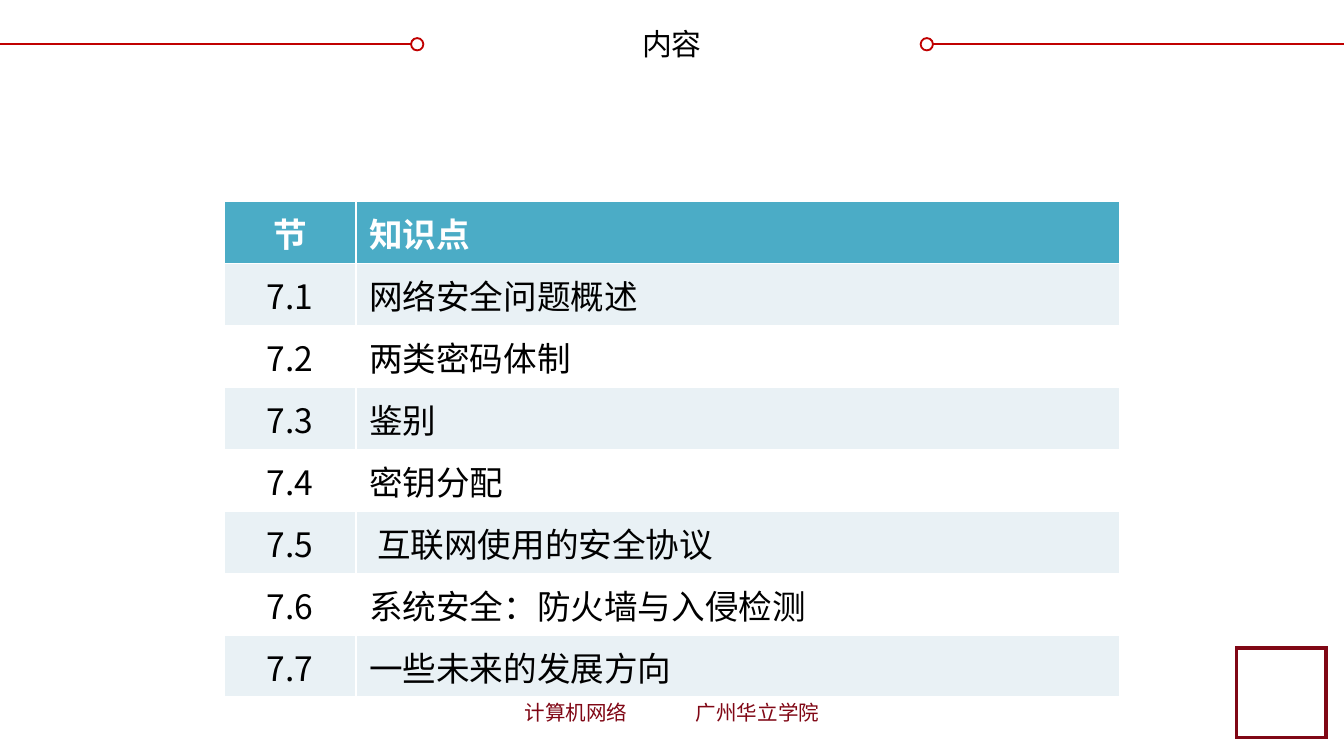
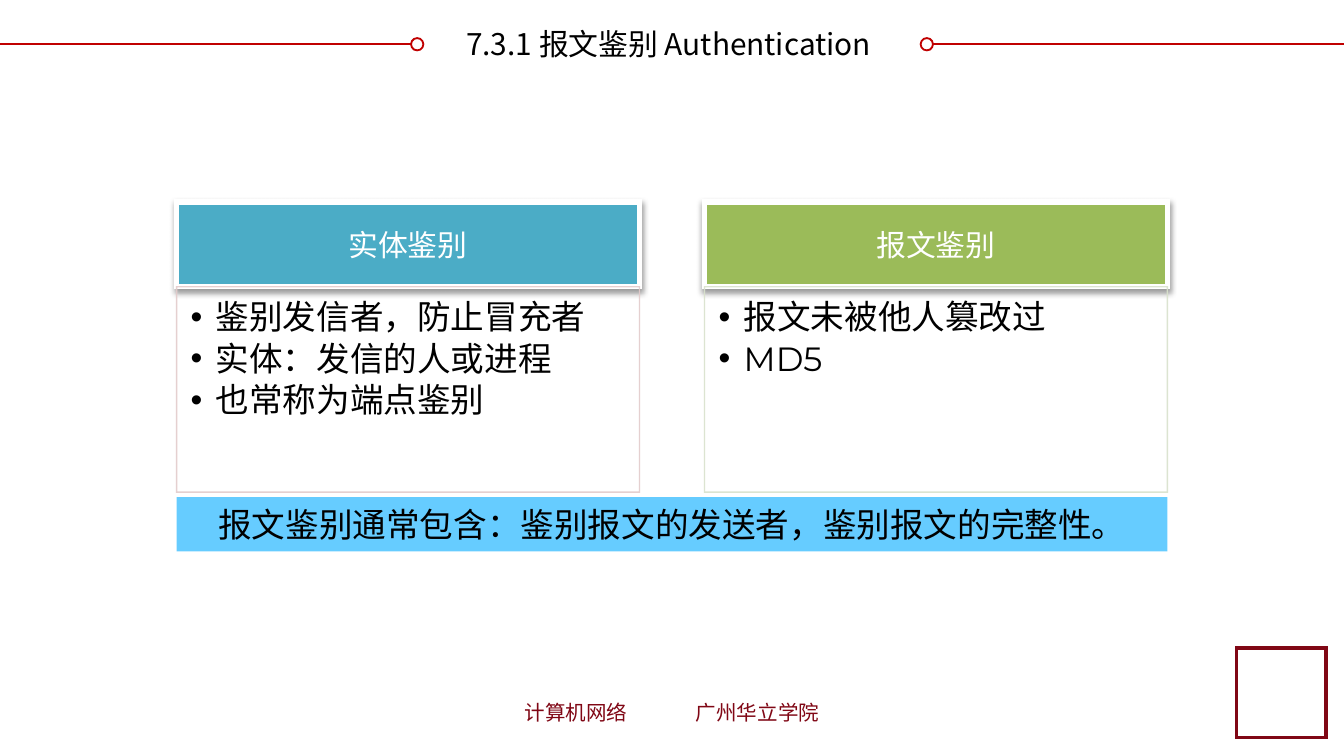
"""Build two network-security slides: a contents table and message authentication."""
from lxml import etree
from pptx import Presentation
from pptx.dml.color import RGBColor
from pptx.enum.shapes import MSO_CONNECTOR, MSO_SHAPE
from pptx.enum.text import MSO_ANCHOR, PP_ALIGN
from pptx.oxml.ns import qn
from pptx.util import Pt

LEFT, CENTER, JUSTIFY = PP_ALIGN.LEFT, PP_ALIGN.CENTER, PP_ALIGN.JUSTIFY
TOP, MIDDLE = MSO_ANCHOR.TOP, MSO_ANCHOR.MIDDLE
RECTANGLE, OVAL, STRAIGHT = MSO_SHAPE.RECTANGLE, MSO_SHAPE.OVAL, MSO_CONNECTOR.STRAIGHT

RED, MAROON, TEAL, GREEN = "C00000", "800715", "4BACC6", "9BBB59"
SKY, PALE, WHITE, BLACK = "66CCFF", "E9F1F5", "FFFFFF", "000000"
SANS, DISPLAY, BULLET_FONT = "Noto Sans CJK SC", "Montserrat", "Arial"

SLIDE_WIDTH, SLIDE_HEIGHT = 720, 405
TITLE_BOX = (226.8, 10, 266.4, 26.8)
RULE_Y, DOT = 23.7, 6.6
BADGE_BOX = (662.4, 347, 48.2, 48.2)
FOOTER_BOX = (267.8, 371.2, 185, 21)
FOOTER_INDENT, FOOTER_TAB = 6.2, 91.7
FOOTER = ("计算机网络", "广州华立学院")

TITLE_STYLE = {"size": Pt(16), "name": SANS}
FOOTER_STYLE = {"size": Pt(11), "name": SANS}
HEAD_STYLE = {"size": Pt(16), "name": DISPLAY}
BODY_STYLE = {"size": Pt(18), "name": DISPLAY}
CELL_STYLE = {"size": Pt(18), "name": SANS}

CONTENTS_TITLE = "内容"
CONTENTS = [
    ("节", "知识点"),
    ("7.1", "网络安全问题概述"),
    ("7.2", "两类密码体制"),
    ("7.3", "鉴别"),
    ("7.4", "密钥分配"),
    ("7.5", "互联网使用的安全协议"),
    ("7.6", "系统安全：防火墙与入侵检测"),
    ("7.7", "一些未来的发展方向"),
]
INDENTED_SECTION, SECTION_INDENT = "7.5", 4.3
TABLE_LEFT, TABLE_TOP, ROW_HEIGHT = 120, 108, 33.2
COLUMN_WIDTHS = (70.6, 409.4)

AUTH_TITLE = "7.3.1 报文鉴别 Authentication "
AUTH_PANELS = [
    ("实体鉴别", TEAL, "E3CBCB",
     ["鉴别发信者，防止冒充者", "实体：发信的人或进程", "也常称为端点鉴别"]),
    ("报文鉴别", GREEN, "D9E2CC", ["报文未被他人篡改过", "MD5"]),
]
AUTH_SUMMARY = "报文鉴别通常包含：鉴别报文的发送者，鉴别报文的完整性。"
PANEL_LEFT, PANEL_TOP, PANEL_WIDTH, PANEL_STEP = 94.6, 108.2, 248, 282.8
HEAD_HEIGHT, BODY_HEIGHT, BULLET_INDENT = 45.4, 110, 13.5
SUMMARY_TOP, SUMMARY_HEIGHT = 266.3, 29.1


def points(values):
    """Turn numbers into point lengths."""
    return [Pt(value) for value in values]


def color(hex_value):
    """Turn a hex string into a colour."""
    return RGBColor.from_string(hex_value)


def add_element(parent, tag, **attributes):
    """Append a drawing element to its parent."""
    values = {name: str(value) for name, value in attributes.items()}
    return etree.SubElement(parent, qn(tag), values)


def paint(shape, fill=None, line=None, weight=1):
    """Set the fill and line of a shape and drop its theme shadow."""
    shape.shadow.inherit = False
    if fill:
        shape.fill.solid()
        shape.fill.fore_color.rgb = color(fill)
    else:
        shape.fill.background()
    if line:
        shape.line.color.rgb = color(line)
        shape.line.width = Pt(weight)
        add_element(shape.line._ln, "a:miter", lim=800000)
    else:
        shape.line.fill.background()
    return shape


def set_frame(frame, anchor, margins=(7.2, 3.6, 7.2, 3.6)):
    """Set wrapping, anchor and margins of a text frame."""
    sides = ("margin_left", "margin_top", "margin_right", "margin_bottom")
    layout = {"word_wrap": True, "vertical_anchor": anchor, **dict(zip(sides, points(margins)))}
    for name, value in layout.items():
        setattr(frame, name, value)


def write(para, text, style, ink=BLACK, align=CENTER):
    """Write one formatted run into a paragraph."""
    para.alignment = align
    span = para.add_run()
    span.text = text
    for name, value in style.items():
        setattr(span.font, name, value)
    span.font.color.rgb = color(ink)
    add_element(span.font._element, "a:ea", typeface=style["name"])


def add_rule(slide, start, end):
    """Draw one horizontal title rule."""
    rule = slide.shapes.add_connector(STRAIGHT, *points((start, RULE_Y, end, RULE_Y)))
    rule.line.color.rgb = color(RED)
    rule.line.width = Pt(1)
    add_element(rule._element.spPr, "a:effectLst")


def add_footer(slide):
    """Write the two footer parts, parted by a tab stop."""
    frame = slide.shapes.add_textbox(*points(FOOTER_BOX)).text_frame
    set_frame(frame, TOP)
    para = frame.paragraphs[0]
    properties = para._p.get_or_add_pPr()
    properties.set("marL", str(Pt(FOOTER_INDENT)))
    stops = add_element(properties, "a:tabLst")
    add_element(stops, "a:tab", pos=Pt(FOOTER_TAB), algn="l")
    write(para, "\t".join(FOOTER), FOOTER_STYLE, MAROON, LEFT)


def add_page(deck, title):
    """Add a slide with the shared title, rules, footer and badge."""
    slide = deck.slides.add_slide(deck.slide_layouts[5])
    left, _, width, _ = TITLE_BOX
    right = left + width
    for start, end, dot_left in ((0, left, left - DOT), (right, SLIDE_WIDTH, right)):
        add_rule(slide, start, end)
        dot = slide.shapes.add_shape(OVAL, *points((dot_left, RULE_Y - DOT / 2, DOT, DOT)))
        paint(dot, WHITE, RED)
    add_footer(slide)
    paint(slide.shapes.add_shape(RECTANGLE, *points(BADGE_BOX)), WHITE, MAROON, 2)
    box = slide.shapes.title
    box.left, box.top, box.width, box.height = points(TITLE_BOX)
    set_frame(box.text_frame, MIDDLE)
    write(box.text_frame.paragraphs[0], title, TITLE_STYLE)
    return slide


def style_cell(cell, fill):
    """Give a cell white borders and a solid fill."""
    properties = cell._tc.get_or_add_tcPr()
    for tag in ("a:lnL", "a:lnR", "a:lnT", "a:lnB"):
        border = add_element(properties, tag, w=Pt(1))
        add_element(add_element(border, "a:solidFill"), "a:srgbClr", val=WHITE)
    cell.fill.solid()
    cell.fill.fore_color.rgb = color(fill)


def add_contents_table(slide):
    """Add the table of sections and topics."""
    area = (TABLE_LEFT, TABLE_TOP, sum(COLUMN_WIDTHS), ROW_HEIGHT * len(CONTENTS))
    table = slide.shapes.add_table(len(CONTENTS), len(COLUMN_WIDTHS), *points(area)).table
    for column, width in zip(table.columns, COLUMN_WIDTHS):
        column.width = Pt(width)
    for row, texts in enumerate(CONTENTS):
        header = row == 0
        fill = TEAL if header else PALE if row % 2 else WHITE
        for column, (text, align) in enumerate(zip(texts, (CENTER, JUSTIFY))):
            cell = table.cell(row, column)
            style_cell(cell, fill)
            style = {**CELL_STYLE, "bold": header}
            write(cell.text_frame.paragraphs[0], text, style, WHITE if header else BLACK, align)
        if texts[0] == INDENTED_SECTION:
            cell.margin_left = Pt(7.2 + SECTION_INDENT)


def add_panel_box(slide, left, top, height):
    """Outline one rectangular panel part."""
    right, bottom = left + PANEL_WIDTH, top + height
    builder = slide.shapes.build_freeform(Pt(left), Pt(top))
    corners = [(right, top), (right, bottom), (left, bottom)]
    builder.add_line_segments([points(corner) for corner in corners], close=True)
    return builder.convert_to_shape()


def add_soft_shadow(shape):
    """Cast a soft shadow straight down."""
    effects = shape._element.spPr.find(qn("a:effectLst"))
    shadow = add_element(effects, "a:outerShdw", blurRad=Pt(3.1), dist=Pt(1.6),
                         dir=5400000, rotWithShape=0)
    ink = add_element(shadow, "a:srgbClr", val=BLACK)
    add_element(ink, "a:alpha", val=38000)


def add_bullet(para, text):
    """Write one bulleted line."""
    para.level = 1
    para.line_spacing = 0.9
    para.space_after = Pt(2.7)
    properties = para._p.get_or_add_pPr()
    properties.set("marL", str(Pt(BULLET_INDENT)))
    properties.set("indent", str(-Pt(BULLET_INDENT)))
    add_element(properties, "a:buFont", typeface=BULLET_FONT)
    add_element(properties, "a:buChar", char="•")
    write(para, text, BODY_STYLE, align=JUSTIFY)


def add_panel(slide, left, heading, fill, edge, bullets):
    """Add a panel heading and its bulleted body."""
    head = paint(add_panel_box(slide, left, PANEL_TOP, HEAD_HEIGHT), fill, WHITE, 3)
    add_soft_shadow(head)
    set_frame(head.text_frame, MIDDLE, (0.7, 0.7, 0.7, 0.7))
    write(head.text_frame.paragraphs[0], heading, HEAD_STYLE, WHITE)

    body = add_panel_box(slide, left, PANEL_TOP + HEAD_HEIGHT, BODY_HEIGHT)
    paint(body, line=edge, weight=0.75)
    ink = body.line._ln.find(".//" + qn("a:srgbClr"))
    add_element(ink, "a:alpha", val=90000)
    frame = body.text_frame
    set_frame(frame, TOP, (7.5, 7.5, 10, 11.3))
    for index, text in enumerate(bullets):
        add_bullet(frame.add_paragraph() if index else frame.paragraphs[0], text)


def add_summary(slide):
    """Add the summary bar below the panels."""
    area = (PANEL_LEFT, SUMMARY_TOP, PANEL_STEP + PANEL_WIDTH, SUMMARY_HEIGHT)
    bar = paint(slide.shapes.add_shape(RECTANGLE, *points(area)), SKY)
    set_frame(bar.text_frame, TOP)
    write(bar.text_frame.paragraphs[0], AUTH_SUMMARY, BODY_STYLE)


def main():
    """Build and save the deck."""
    deck = Presentation()
    deck.slide_width, deck.slide_height = points((SLIDE_WIDTH, SLIDE_HEIGHT))
    add_contents_table(add_page(deck, CONTENTS_TITLE))
    page = add_page(deck, AUTH_TITLE)
    for index, panel in enumerate(AUTH_PANELS):
        add_panel(page, PANEL_LEFT + index * PANEL_STEP, *panel)
    add_summary(page)
    deck.save("out.pptx")


if __name__ == "__main__":
    main()
